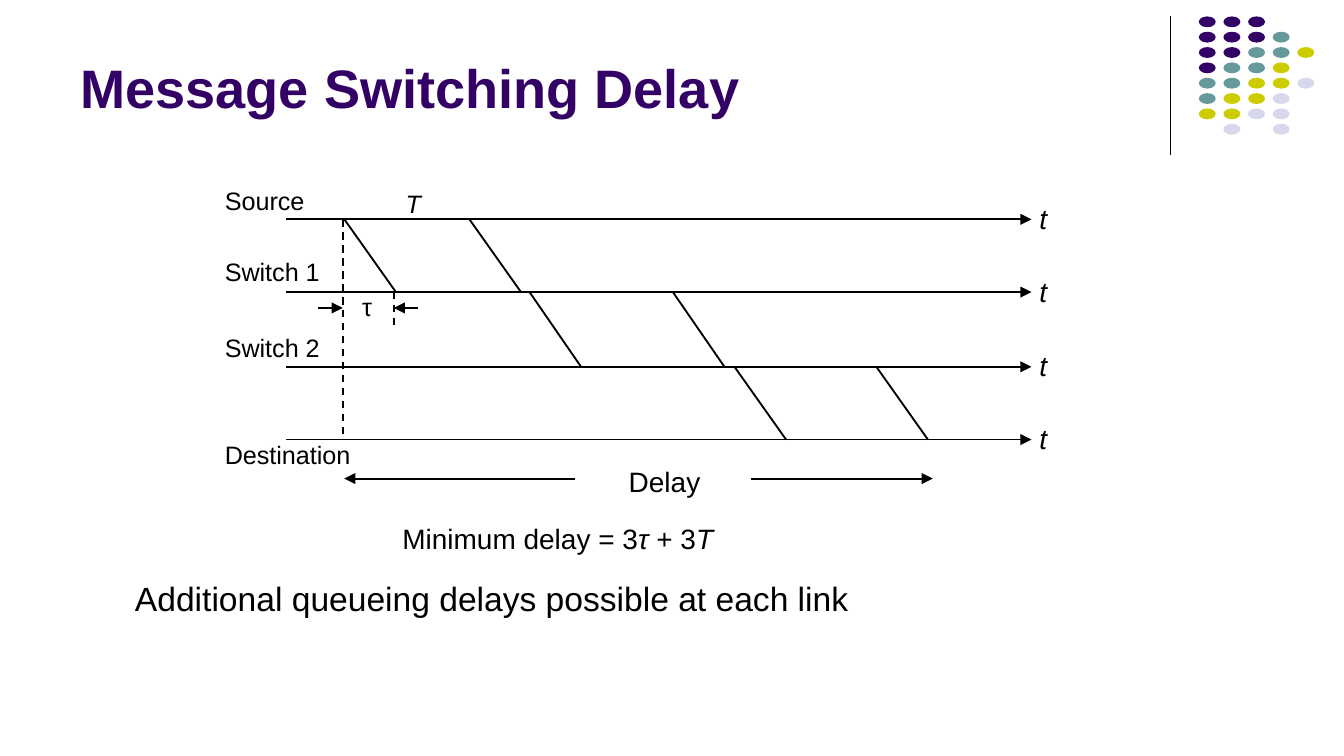
from typing import NamedTuple

from pptx import Presentation
from pptx.dml.color import RGBColor
from pptx.enum.dml import MSO_LINE
from pptx.enum.shapes import MSO_CONNECTOR, MSO_SHAPE
from pptx.enum.text import MSO_ANCHOR, MSO_AUTO_SIZE
from pptx.oxml.ns import qn
from pptx.slide import Slide
from pptx.util import Pt
from lxml import etree

STRAIGHT = MSO_CONNECTOR.STRAIGHT
OVAL = MSO_SHAPE.OVAL
DASH = MSO_LINE.DASH
BOTTOM, TOP = MSO_ANCHOR.BOTTOM, MSO_ANCHOR.TOP
GROW, FIXED = MSO_AUTO_SIZE.SHAPE_TO_FIT_TEXT, MSO_AUTO_SIZE.NONE

BLACK = RGBColor(0x00, 0x00, 0x00)
PURPLE = RGBColor(0x33, 0x00, 0x66)
TEAL = RGBColor(0x66, 0x99, 0x99)
YELLOW = RGBColor(0xCC, 0xCC, 0x00)
LAVENDER = RGBColor(0xD8, 0xD8, 0xEC)
FONT = "Arial"

DOT_COLORS = {"P": PURPLE, "T": TEAL, "Y": YELLOW, "L": LAVENDER}
DOT_ROWS = ["PPP", "PPPT", "PPTTY", "PTTY", "TTYYL", "TYYL", "YYLL", " L L"]
DOT_LEFT, DOT_TOP = 642.2, 8.8
DOT_DX, DOT_DY = 13.2, 8.22
DOT_W, DOT_H = 9.1, 5.8

AXIS_LEFT, AXIS_RIGHT = 153.4, 552.6
AXES = [117.5, 156.5, 196.5, 235.5]
MESSAGE_STARTS = [(184.5, 251.5), (283.7, 360.5), (393.5, 469.5)]
PROPAGATION = 27.6


class Line(NamedTuple):
    x1: float
    y1: float
    x2: float
    y2: float
    width: float = 1
    arrow: bool = False
    dashed: bool = False


class Run(NamedTuple):
    text: str
    italic: bool = False


class Label(NamedTuple):
    x: float
    y: float
    w: float
    h: float
    size: float
    runs: list[Run]


LINES = [
    Line(627, 8.6, 627, 82.8, 0.75),
    Line(183.6, AXES[0], 183.6, 233.3, dashed=True),
    Line(211, AXES[1], 211, 177.1, dashed=True),
    Line(170.6, 165, 183.6, 165, 0.75, arrow=True),
    Line(223.9, 165, 211, 165, 0.75, arrow=True),
    Line(308.2, 256.4, 184.4, 256.4, arrow=True),
    Line(402.5, 256.4, 499.7, 256.4, arrow=True),
]

LABELS = [
    Label(115.2, 96.5, 54, 21.6, 13.5, [Run("Source")]),
    Label(115.2, 134.8, 61.9, 21.6, 13.5, [Run("Switch 1")]),
    Label(115.2, 175.4, 61.9, 21.6, 13.5, [Run("Switch 2")]),
    Label(115.2, 232.8, 79.2, 21.6, 13.5, [Run("Destination")]),
    Label(212, 98, 19.4, 21.6, 13.5, [Run("T", True)]),
    Label(188.8, 153.4, 16.6, 21.6, 13.5, [Run("τ")]),
    Label(331.5, 246.3, 49.7, 23.8, 15, [Run("Delay")]),
    Label(210.3, 276.5, 180, 23.8, 15,
          [Run("Minimum delay = 3"), Run("τ", True), Run(" + 3"), Run("T", True)]),
    Label(67, 306.7, 396.7, 27.4, 18,
          [Run("Additional queueing delays possible at each link")]),
]


def draw_line(s: Slide, line: Line) -> None:
    c = s.shapes.add_connector(
        STRAIGHT, Pt(line.x1), Pt(line.y1), Pt(line.x2), Pt(line.y2))
    c.line.color.rgb = BLACK
    c.line.width = Pt(line.width)
    if line.dashed:
        c.line.dash_style = DASH
    if line.arrow:
        etree.SubElement(c.line._get_or_add_ln(), qn("a:tailEnd"), type="triangle")
    etree.SubElement(c._element.spPr, qn("a:effectLst"))


def draw_label(s: Slide, label: Label, title: bool = False) -> None:
    sp = s.shapes.add_textbox(Pt(label.x), Pt(label.y), Pt(label.w), Pt(label.h))
    tf = sp.text_frame
    tf.word_wrap = title
    tf.auto_size = FIXED if title else GROW
    tf.vertical_anchor = BOTTOM if title else TOP
    tf.margin_left = tf.margin_right = Pt(7.2 if title else 5.3)
    tf.margin_top = tf.margin_bottom = Pt(3.6 if title else 2.7)
    p = tf.paragraphs[0]
    for run in label.runs:
        r = p.add_run()
        r.text = run.text
        r.font.name = FONT
        r.font.size = Pt(label.size)
        r.font.bold = title
        r.font.italic = run.italic
        r.font.color.rgb = PURPLE if title else BLACK


def draw_dots(s: Slide) -> None:
    for row, pattern in enumerate(DOT_ROWS):
        for col, key in enumerate(pattern):
            if key == " ":
                continue
            sp = s.shapes.add_shape(
                OVAL, Pt(DOT_LEFT + col * DOT_DX), Pt(DOT_TOP + row * DOT_DY),
                Pt(DOT_W), Pt(DOT_H))
            sp.shadow.inherit = False
            sp.fill.solid()
            sp.fill.fore_color.rgb = DOT_COLORS[key]
            sp.line.fill.background()


def draw_timeline(s: Slide) -> None:
    for y in AXES:
        draw_line(s, Line(AXIS_LEFT, y, AXIS_RIGHT, y, arrow=True))
        draw_label(s, Label(551.5, y - 12.3, 15.1, 23.8, 15, [Run("t", True)]))
    for top, bottom, starts in zip(AXES, AXES[1:], MESSAGE_STARTS):
        for x in starts:
            draw_line(s, Line(x, top, x + PROPAGATION, bottom))


def main() -> None:
    prs = Presentation()
    prs.slide_width, prs.slide_height = Pt(720), Pt(405)
    s = prs.slides.add_slide(prs.slide_layouts[6])
    draw_dots(s)
    draw_timeline(s)
    for line in LINES:
        draw_line(s, line)
    for label in LABELS:
        draw_label(s, label)
    draw_label(s, Label(36, 7.2, 594, 60.5, 29, [Run("Message Switching Delay")]),
               title=True)
    prs.save("out.pptx")


if __name__ == "__main__":
    main()
